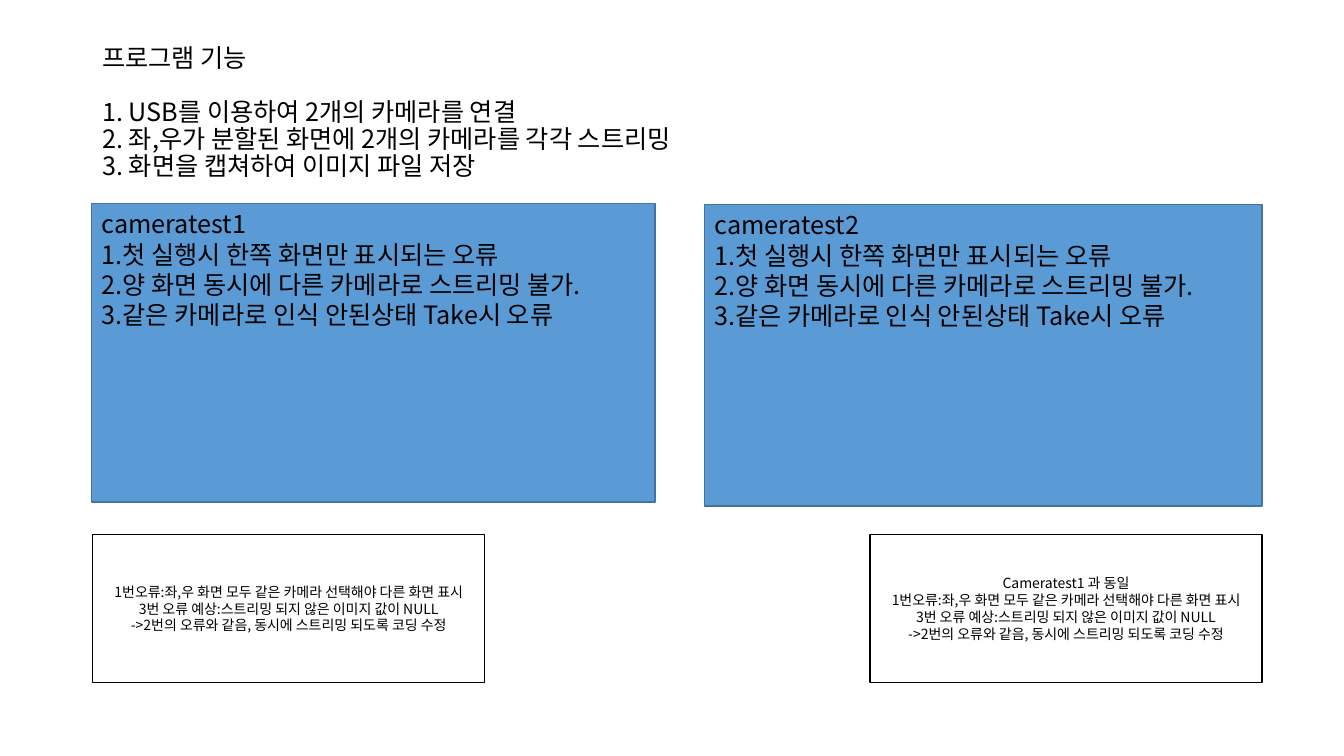
from dataclasses import dataclass

from lxml import etree
from pptx import Presentation
from pptx import util as u
from pptx.dml.color import RGBColor
from pptx.enum import shapes, text
from pptx.oxml import ns


@dataclass(frozen=True)
class Theme:
    """Colours, font and type sizes of the slide."""
    font: str = "Noto Sans CJK KR"
    ink: str = "000000"
    paper: str = "FFFFFF"
    blue: str = "5B9BD5"
    blue_edge: str = "43739E"
    body: float = 18
    note: float = 10


THEME = Theme()
HEADING = "프로그램 기능"
FEATURES = [
    "1. USB를 이용하여 2개의 카메라를 연결",
    "2. 좌,우가 분할된 화면에 2개의 카메라를 각각 스트리밍",
    "3. 화면을 캡쳐하여 이미지 파일 저장",
]
ERRORS = [
    "1.첫 실행시 한쪽 화면만 표시되는 오류",
    "2.양 화면 동시에 다른 카메라로 스트리밍 불가.",
    "3.같은 카메라로 인식 안된상태 Take시 오류",
]
CAUSES = [
    "1번오류:좌,우 화면 모두 같은 카메라 선택해야 다른 화면 표시",
    "3번 오류 예상:스트리밍 되지 않은 이미지 값이 NULL",
    "->2번의 오류와 같음, 동시에 스트리밍 되도록 코딩 수정",
]


def write(sp, lines, size, anchor, **para):
    """Fill a shape with one paragraph per line."""
    tf = sp.text_frame
    tf.word_wrap = True
    tf.vertical_anchor = anchor
    for i, line in enumerate(lines):
        p = tf.paragraphs[0] if i == 0 else tf.add_paragraph()
        for name, value in para.items():
            setattr(p, name, value)
        r = p.add_run()
        r.text = line
        for name, value in {"name": THEME.font, "size": u.Pt(size)}.items():
            setattr(r.font, name, value)
        r.font.color.rgb = RGBColor.from_string(THEME.ink)
        ea = etree.SubElement(r.font._element, ns.qn("a:ea"))
        ea.set("typeface", THEME.font)


def add_intro(s, box):
    """Add the heading with its list of features."""
    sp = s.shapes.add_textbox(*map(u.Pt, box))
    write(sp, [HEADING, *FEATURES], THEME.body, text.MSO_ANCHOR.MIDDLE,
          alignment=text.PP_ALIGN.LEFT, line_spacing=0.9)
    sp.text_frame.paragraphs[0].space_after = u.Pt(19.3)


def add_box(s, box, fill, edge):
    """Add a filled and outlined rectangle."""
    sp = s.shapes.add_shape(shapes.MSO_SHAPE.RECTANGLE, *map(u.Pt, box))
    sp.shadow.inherit = False
    sp.fill.solid()
    sp.fill.fore_color.rgb = RGBColor.from_string(fill)
    sp.line.color.rgb = RGBColor.from_string(edge)
    sp.line.width = u.Pt(1)
    return sp


def add_panel(s, box, name):
    """Add a blue panel listing the errors of one test."""
    sp = add_box(s, box, THEME.blue, THEME.blue_edge)
    write(sp, [name, *ERRORS], THEME.body, text.MSO_ANCHOR.TOP,
          alignment=text.PP_ALIGN.LEFT)


def add_note(s, left, lines):
    """Add a white box explaining the errors."""
    sp = add_box(s, (left, 381.6, 280, 106), THEME.paper, THEME.ink)
    write(sp, lines, THEME.note, text.MSO_ANCHOR.MIDDLE,
          alignment=text.PP_ALIGN.CENTER)


def main():
    """Build and save the slide."""
    prs = Presentation()
    prs.slide_width, prs.slide_height = u.Pt(960), u.Pt(540)
    s = prs.slides.add_slide(prs.slide_layouts[6])
    add_intro(s, (66, 28.8, 828, 104.4))
    add_panel(s, (65.5, 145.5, 402.5, 213), "cameratest1")
    add_panel(s, (503.3, 146.2, 398.2, 215.2), "cameratest2")
    add_note(s, 621.4, ["Cameratest1 과 동일", *CAUSES])
    add_note(s, 66.2, CAUSES)
    prs.save("out.pptx")


if __name__ == "__main__":
    main()
